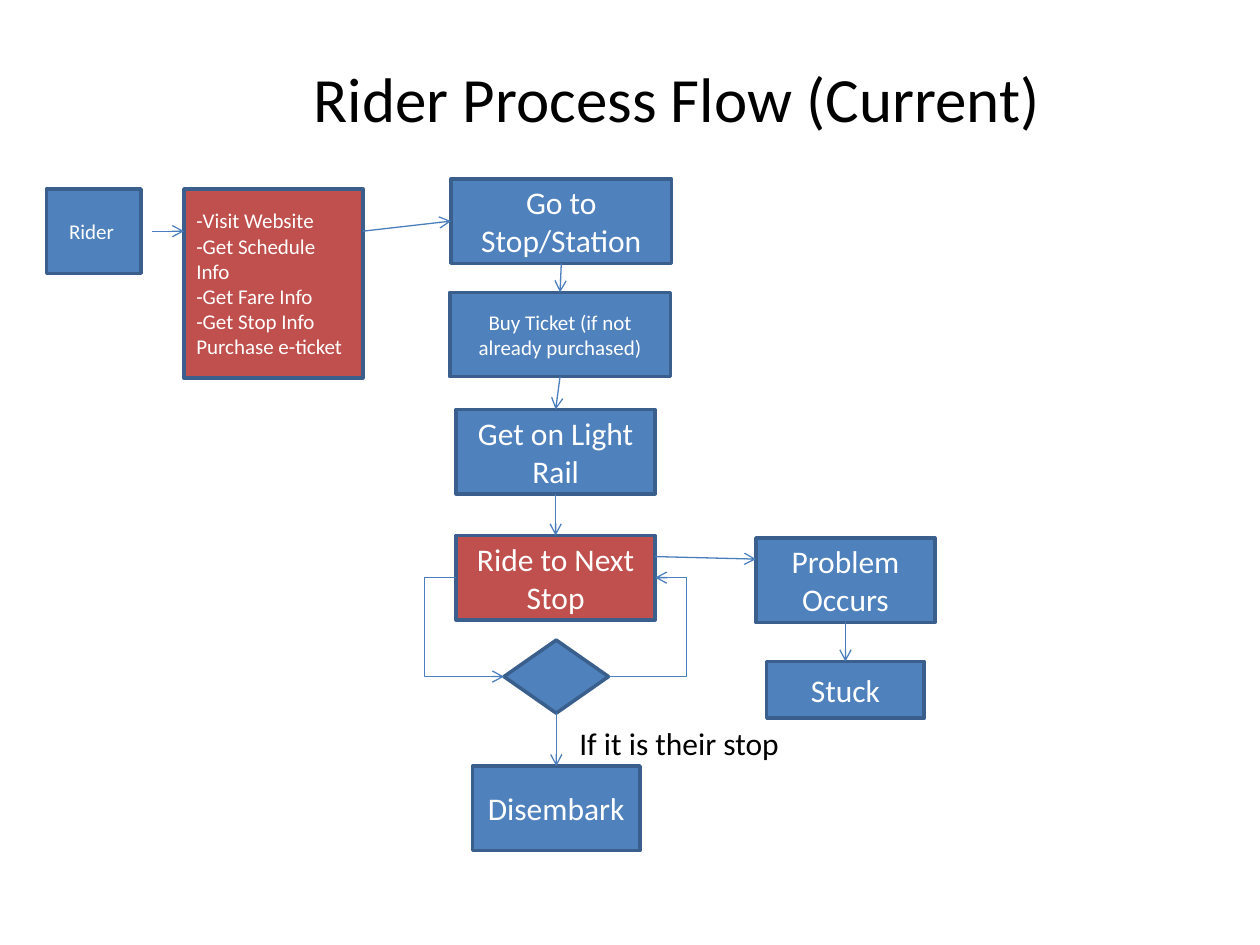
import pptx
import pptx.util
from lxml import etree
from pptx.dml.color import RGBColor
from pptx.enum.shapes import MSO_CONNECTOR, MSO_SHAPE
from pptx.enum.text import MSO_ANCHOR, MSO_AUTO_SIZE, PP_ALIGN
from pptx.oxml.ns import qn
from pptx.util import Inches

COLORS = {"blue": "4F81BD", "red": "C0504D", "border": "3A5F8C",
          "arrow": "4B7EBC", "light": "FFFFFF", "dark": "000000"}
STEP_H = 0.67


def rgb(name):
    return RGBColor.from_string(COLORS[name])


def write(sp, lines, size, color, align, **frame):
    tf = sp.text_frame
    for name, value in frame.items():
        setattr(tf, name, value)
    tf.text = "\n".join(lines)
    for p in tf.paragraphs:
        p.alignment = align
        font = {"size": pptx.util.Pt(size), "name": "Calibri"}
        for r in p.runs:
            for name, value in font.items():
                setattr(r.font, name, value)
            r.font.color.rgb = rgb(color)


def add_node(s, box, lines=(), size=18, fill="blue", align=PP_ALIGN.CENTER,
             kind=MSO_SHAPE.RECTANGLE):
    sp = s.shapes.add_shape(kind, *map(Inches, box))
    sp.shadow.inherit = False
    sp.fill.solid()
    sp.fill.fore_color.rgb = rgb(fill)
    sp.line.color.rgb = rgb("border")
    sp.line.width = pptx.util.Pt(2)
    if lines:
        write(sp, lines, size, "light", align, word_wrap=True,
              vertical_anchor=MSO_ANCHOR.MIDDLE)
    return box


def add_arrow(s, start, end, bend=None):
    """Draw an arrow; bend is the elbow's place as a share of its width."""
    kind = MSO_CONNECTOR.STRAIGHT if bend is None else MSO_CONNECTOR.ELBOW
    cx = s.shapes.add_connector(kind, *map(Inches, (*start, *end)))
    cx.line.color.rgb = rgb("arrow")
    cx.line.width = pptx.util.Pt(0.75)
    sppr = cx._element.spPr
    etree.SubElement(cx.line._get_or_add_ln(), qn("a:tailEnd"), type="arrow")
    etree.SubElement(sppr, qn("a:effectLst"))
    if bend is not None:
        guides = sppr.find(qn("a:prstGeom")).get_or_add_avLst()
        etree.SubElement(guides, qn("a:gd"), name="adj1",
                         fmla=f"val {round(bend * 100000)}")


def side(box, fx, fy):
    """Return the point at the given shares of a box's width and height."""
    x, y, w, h = box
    return x + w * fx, y + h * fy


def add_down_arrow(s, upper, lower):
    add_arrow(s, side(upper, 0.5, 1), side(lower, 0.5, 0))


def add_title(s, box):
    sp = s.shapes.title
    for name, value in zip(("left", "top", "width", "height"), box):
        setattr(sp, name, Inches(value))
    write(sp, ["Rider Process Flow (Current)"], 36, "dark", PP_ALIGN.LEFT,
          word_wrap=False, auto_size=MSO_AUTO_SIZE.NONE,
          vertical_anchor=MSO_ANCHOR.TOP)


def add_preparation(s, box):
    x, y, w, h = box
    web_w = 1.42
    add_node(s, (x, y, 0.75, STEP_H), ["Rider "], 12)
    web = add_node(s, (x + w - web_w, y, web_w, h),
                   ["-Visit Website", "-Get Schedule Info", "-Get Fare Info",
                    "-Get Stop Info", "Purchase e-ticket"],
                   12, "red", PP_ALIGN.LEFT)
    mid = y + STEP_H / 2
    add_arrow(s, (web[0] - 0.25, mid), (web[0], mid))
    return x + w, mid


def add_journey(s, box):
    """Stack the trip steps and return the first and last of them."""
    x, y, w, h = box
    steps = [("Go to Stop/Station", 0.01, 0, 1.75, 18, "blue"),
             ("Buy Ticket (if not already purchased)", 0, 0.9, 1.75, 12, "blue"),
             ("Get on Light Rail", 0.05, 1.83, 1.58, 18, "blue"),
             ("Ride to Next Stop", 0.05, h - STEP_H, 1.58, 18, "red")]
    nodes = [add_node(s, (x + dx, y + dy, width, STEP_H), [text], size, fill)
             for text, dx, dy, width, size, fill in steps]
    for upper, lower in zip(nodes, nodes[1:]):
        add_down_arrow(s, upper, lower)
    return nodes[0], nodes[-1]


def add_stop_check(s, box, ride):
    """Place the stop decision, its loop to the ride step, and the exit."""
    x, y, w, h = box
    check_w, reach = 0.83, 0.25
    check = add_node(s, (x + (w - check_w) / 2, y, check_w, 0.58),
                     kind=MSO_SHAPE.FLOWCHART_DECISION)
    leave = add_node(s, (x, y + h - STEP_H, w, STEP_H), ["Disembark"])
    add_down_arrow(s, check, leave)

    inset = (ride[2] - check_w) / 2
    add_arrow(s, side(ride, 0, 0.5), side(check, 0, 0.5), -reach / inset)
    add_arrow(s, side(check, 1, 0.5), side(ride, 1, 0.5), 1 + reach / inset)

    label = s.shapes.add_textbox(*map(Inches, (x + 0.75, y + 0.62, 1.8, 0.4)))
    write(label, ["If it is their stop"], 18, "dark", PP_ALIGN.LEFT,
          word_wrap=False, auto_size=MSO_AUTO_SIZE.SHAPE_TO_FIT_TEXT)


def add_problem(s, box):
    x, y, w, h = box
    stuck_w, stuck_h = 1.25, 0.45
    problem = add_node(s, (x, y, w, STEP_H), ["Problem Occurs"])
    stuck = add_node(s, (x + (w - stuck_w) / 2, y + h - stuck_h,
                         stuck_w, stuck_h),
                     ["Stuck"], kind=MSO_SHAPE.FLOWCHART_PROCESS)
    add_down_arrow(s, problem, stuck)
    return side(problem, 0, 0.25)


def main():
    prs = pptx.Presentation()
    prs.slide_width, prs.slide_height = Inches(10), Inches(7.5)
    s = prs.slides.add_slide(prs.slide_layouts[5])
    add_title(s, (2.39, 0.42, 6.01, 0.71))
    prepared = add_preparation(s, (0.37, 1.5, 2.51, 1.5))
    first, ride = add_journey(s, (3.57, 1.42, 1.75, 3.5))
    add_arrow(s, prepared, side(first, 0, 0.5))
    add_stop_check(s, (3.75, 5.08, 1.33, 1.67), ride)
    problem = add_problem(s, (6, 4.27, 1.42, 1.43))
    add_arrow(s, side(ride, 1, 0.25), problem)
    prs.save("out.pptx")


if __name__ == "__main__":
    main()
